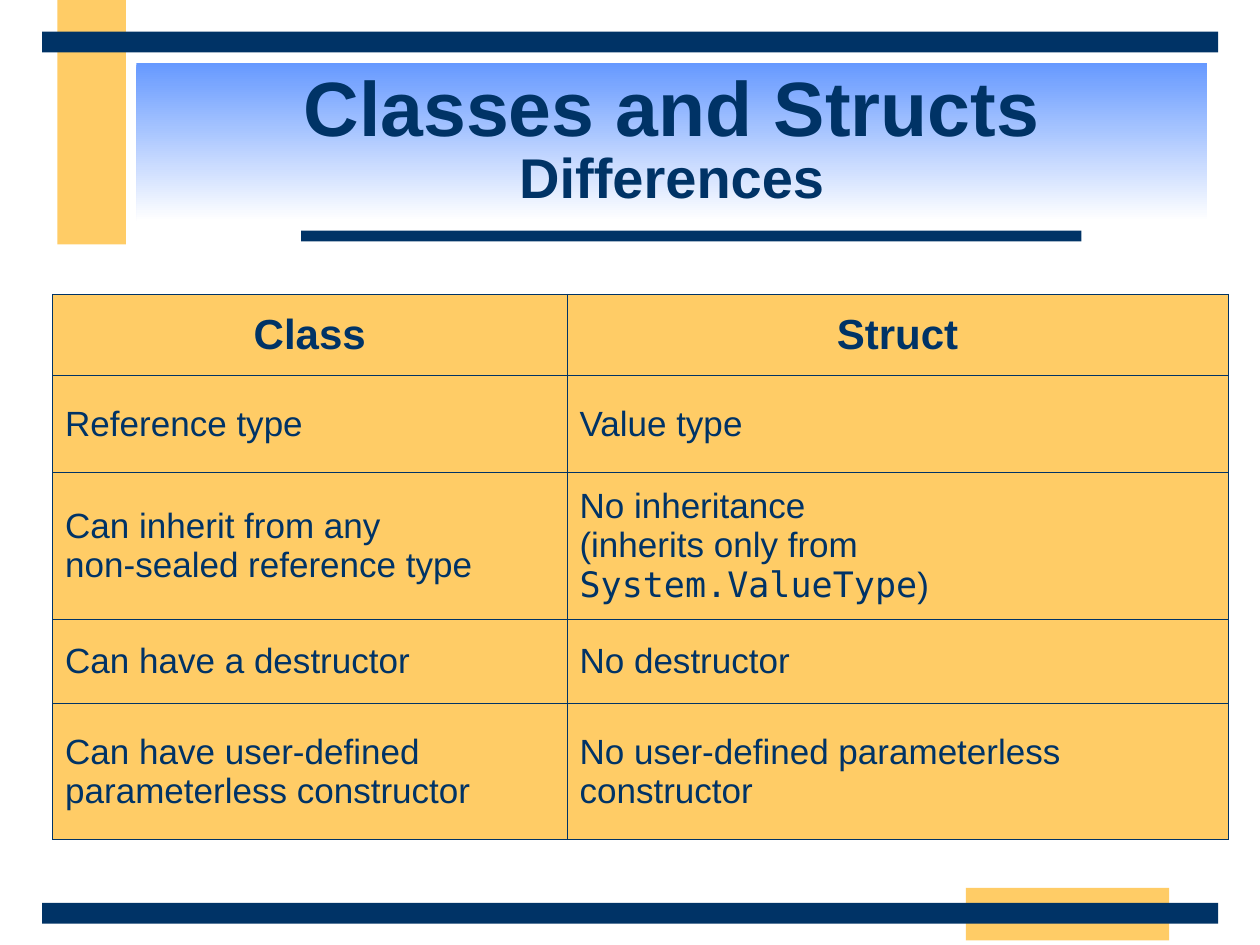
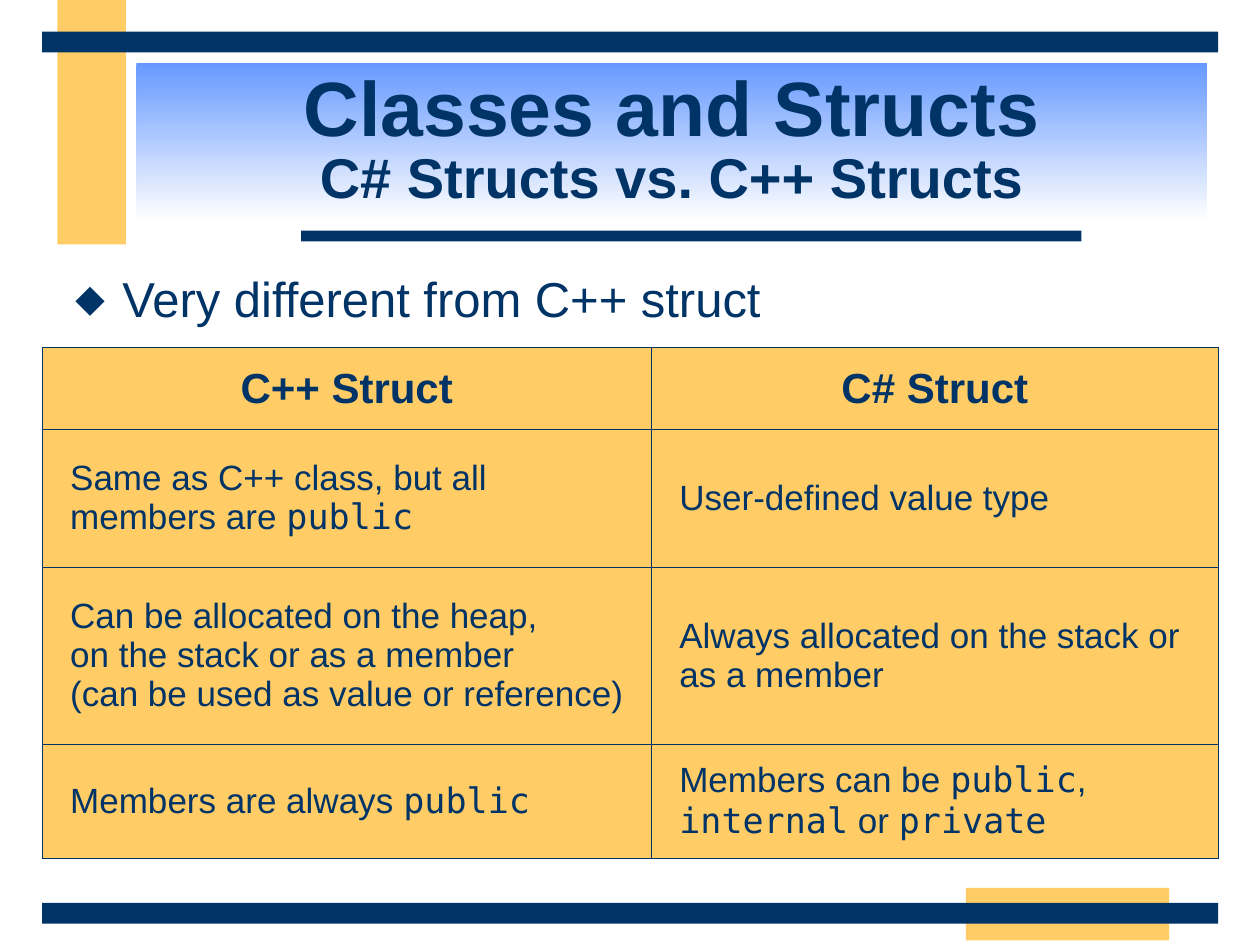
from dataclasses import dataclass

from lxml import etree
from pptx import Presentation
from pptx.dml.color import RGBColor
from pptx.enum.shapes import MSO_SHAPE
from pptx.enum.text import MSO_ANCHOR, MSO_AUTO_SIZE, PP_ALIGN
from pptx.oxml.ns import qn
from pptx.slide import Slide, SlideLayout
from pptx.table import _Cell
from pptx.text.text import Font, _Paragraph
from pptx.util import Cm, Length, Pt

NAVY = RGBColor(0x00, 0x33, 0x66)
AMBER = RGBColor(0xFF, 0xCC, 0x66)
SKY = RGBColor(0x66, 0x99, 0xFF)
WHITE = RGBColor(0xFF, 0xFF, 0xFF)
SANS = "Arial"
MONO = "DejaVu Sans Mono"

RECTANGLE = MSO_SHAPE.RECTANGLE
MIDDLE = MSO_ANCHOR.MIDDLE
CENTER = PP_ALIGN.CENTER
LEFT = PP_ALIGN.LEFT
NO_AUTOFIT = MSO_AUTO_SIZE.NONE

TITLE_ONLY = 5
BORDER_WIDTH = Pt(0.45)
BORDER_SIDES = ("a:lnL", "a:lnR", "a:lnT", "a:lnB")
BULLET_INDENT = Cm(0.95)


@dataclass(frozen=True)
class Band:
    left: Length
    top: Length
    width: Length
    height: Length
    color: RGBColor


@dataclass(frozen=True)
class Comparison:
    """A two-column table; text between backticks is set as code."""
    left: Length
    top: Length
    columns: tuple[Length, ...]
    rows: tuple[Length, ...]
    indent: Length
    texts: tuple[tuple[str, str], ...]


BANDS = (
    Band(Cm(1.16), Cm(0), Cm(1.38), Cm(4.93), AMBER),
    Band(Cm(19.47), Cm(17.9), Cm(4.1), Cm(1.06), AMBER),
    Band(Cm(6.07), Cm(4.65), Cm(15.73), Cm(0.22), NAVY),
    Band(Cm(0.85), Cm(18.2), Cm(23.71), Cm(0.42), NAVY),
    Band(Cm(0.85), Cm(0.64), Cm(23.71), Cm(0.42), NAVY),
)

CLASS_AND_STRUCT = Comparison(
    Cm(1.06), Cm(5.93),
    (Cm(10.37), Cm(13.33)),
    (Cm(1.64), Cm(1.95), Cm(2.97), Cm(1.69), Cm(2.74)),
    Cm(0),
    (
        ("Class", "Struct"),
        ("Reference type", "Value type"),
        ("Can inherit from any \nnon-sealed reference type",
         "No inheritance\n(inherits only from `System.ValueType`)"),
        ("Can have a destructor", "No destructor"),
        ("Can have user-defined parameterless constructor",
         "No user-defined parameterless constructor"),
    ),
)

CPP_AND_CSHARP = Comparison(
    Cm(0.85), Cm(7.01),
    (Cm(12.28), Cm(11.43)),
    (Cm(1.65), Cm(2.77), Cm(3.57), Cm(2.3)),
    Cm(0.31),
    (
        ("C++ Struct", "C# Struct"),
        ("Same as C++ class, but all members are `public`",
         "User-defined value type"),
        ("Can be allocated on the heap, \non the stack or as a member \n"
         "(can be used as value or reference)",
         "Always allocated on the stack or \nas a member"),
        ("Members are always `public`",
         "Members can be `public`, `internal` or `private`"),
    ),
)


def style_font(font: Font, size: int, bold: bool = False, name: str = SANS) -> None:
    font.name = name
    font.size = Pt(size)
    font.bold = bold
    font.color.rgb = NAVY


def move_bands_to_layout(slide: Slide, layout: SlideLayout) -> None:
    """Draw the bands on a slide, then hand them to its layout to be shared."""
    for placeholder in list(layout.placeholders):
        if placeholder.placeholder_format.idx != 0:
            placeholder.element.getparent().remove(placeholder.element)
    shapes = [slide.shapes.add_shape(RECTANGLE, band.left, band.top, band.width, band.height)
              for band in BANDS]
    for band, shape in zip(BANDS, shapes):
        shape.shadow.inherit = False
        shape.fill.solid()
        shape.fill.fore_color.rgb = band.color
        shape.line.fill.background()
        layout.shapes.element.append(shape.element)


def set_title(slide: Slide, subtitle: str) -> None:
    title = slide.shapes.title
    title.left, title.top = Cm(2.75), Cm(1.27)
    title.width, title.height = Cm(21.59), Cm(3.18)
    title.fill.gradient()
    title.fill.gradient_angle = 270
    for stop, color, position in zip(title.fill.gradient_stops, (SKY, WHITE), (0, 1)):
        stop.color.rgb = color
        stop.position = position
    frame = title.text_frame
    frame.auto_size = NO_AUTOFIT
    frame.vertical_anchor = MIDDLE
    paragraph = frame.paragraphs[0]
    paragraph.text = f"Classes and Structs\n{subtitle}"
    paragraph.alignment = CENTER
    paragraph.line_spacing = 0.85
    for span, size in zip(paragraph.runs, (44, 32)):
        style_font(span.font, size, bold=True)


def add_spans(paragraph: _Paragraph, text: str, size: int, bold: bool) -> None:
    for part_index, part in enumerate(text.split("`")):
        name = MONO if part_index % 2 else SANS
        for line_index, line in enumerate(part.split("\n")):
            if line_index:
                paragraph.add_line_break()
            if line:
                span = paragraph.add_run()
                span.text = line
                style_font(span.font, size, bold, name)


def set_borders(cell: _Cell) -> None:
    properties = cell._tc.get_or_add_tcPr()
    for index, side in enumerate(BORDER_SIDES):
        line = etree.Element(qn(side), w=str(BORDER_WIDTH))
        fill = etree.SubElement(line, qn("a:solidFill"))
        etree.SubElement(fill, qn("a:srgbClr"), val=str(NAVY))
        properties.insert(index, line)


def add_comparison(slide: Slide, comparison: Comparison) -> None:
    frame = slide.shapes.add_table(
        len(comparison.rows), len(comparison.columns), comparison.left, comparison.top,
        sum(comparison.columns), sum(comparison.rows))
    table = frame.table
    table.horz_banding = False
    for column, width in zip(table.columns, comparison.columns):
        column.width = width
    for row_index, (row, height) in enumerate(zip(table.rows, comparison.rows)):
        row.height = height
        is_header = row_index == 0
        for cell, text in zip(row.cells, comparison.texts[row_index]):
            cell.fill.solid()
            cell.fill.fore_color.rgb = AMBER
            cell.vertical_anchor = MIDDLE
            set_borders(cell)
            paragraph = cell.text_frame.paragraphs[0]
            paragraph.alignment = CENTER if is_header else LEFT
            if not is_header:
                paragraph._p.get_or_add_pPr().set("marL", str(comparison.indent))
            add_spans(paragraph, text, 24 if is_header else 20, is_header)


def add_bullet(slide: Slide, text: str) -> None:
    box = slide.shapes.add_textbox(Cm(1.27), Cm(5.28), Cm(22.86), Cm(12.5))
    box.text_frame.word_wrap = True
    paragraph = box.text_frame.paragraphs[0]
    paragraph.text = text
    properties = paragraph._p.get_or_add_pPr()
    properties.set("marL", str(BULLET_INDENT))
    properties.set("indent", str(-BULLET_INDENT))
    color = etree.SubElement(properties, qn("a:buClr"))
    etree.SubElement(color, qn("a:srgbClr"), val=str(NAVY))
    etree.SubElement(properties, qn("a:buFont"), typeface=MONO)
    etree.SubElement(properties, qn("a:buChar"), char="◆")
    style_font(paragraph.runs[0].font, 28)


def main() -> None:
    deck = Presentation()
    deck.slide_width, deck.slide_height = Cm(25.4), Cm(19.05)
    layout = deck.slide_layouts[TITLE_ONLY]

    differences = deck.slides.add_slide(layout)
    move_bands_to_layout(differences, layout)
    set_title(differences, "Differences")
    add_comparison(differences, CLASS_AND_STRUCT)

    languages = deck.slides.add_slide(layout)
    set_title(languages, "C# Structs vs. C++ Structs")
    add_comparison(languages, CPP_AND_CSHARP)
    add_bullet(languages, "Very different from C++ struct")

    deck.save("out.pptx")


if __name__ == "__main__":
    main()
